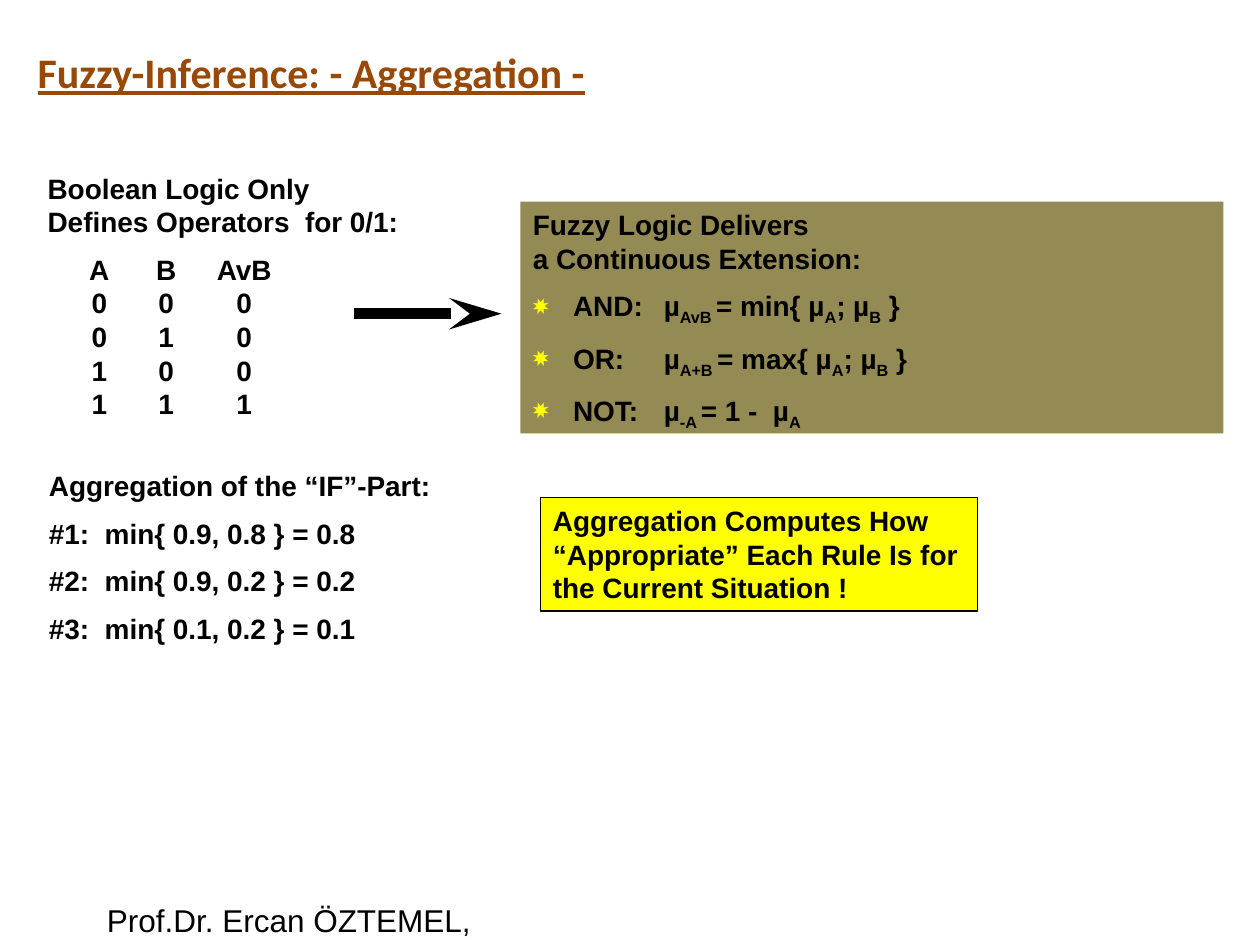
from pptx import Presentation
from pptx.dml.color import RGBColor
from pptx.enum.shapes import MSO_CONNECTOR, MSO_SHAPE
from pptx.enum.text import MSO_ANCHOR, MSO_AUTO_SIZE, PP_ALIGN
from pptx.oxml.ns import qn
from pptx.util import Inches, Pt
from lxml import etree

STRAIGHT = MSO_CONNECTOR.STRAIGHT
RECTANGLE = MSO_SHAPE.RECTANGLE
TOP = MSO_ANCHOR.TOP
GROW = MSO_AUTO_SIZE.SHAPE_TO_FIT_TEXT
LEFT = PP_ALIGN.LEFT

BLACK = RGBColor(0x00, 0x00, 0x00)
BROWN = RGBColor(0x98, 0x48, 0x07)
OLIVE = RGBColor(0x94, 0x8A, 0x54)
YELLOW = RGBColor(0xFF, 0xFF, 0x00)

BODY = {"name": "Arial", "size": Pt(16), "bold": True}
FOOTER = {"name": "Arial", "size": Pt(18)}
TITLE = {"name": "Calibri", "size": Pt(24), "bold": True, "underline": True}
GAP = Pt(8)
INDENT = 0.32

TRUTH_TABLE = [("A", "B", "AvB"), (0, 0, 0), (0, 1, 0), (1, 0, 0), (1, 1, 1)]
TRUTH_TABS = [(0.41, "ctr"), (0.94, "ctr"), (1.56, "ctr")]
OPERATOR_TABS = [(INDENT, "l"), (1.04, "l")]
# Every second part between bars is a subscript.
OPERATORS = [
    "\tAND:\tµ|AvB |= min{ µ|A|; µ|B| }",
    "\tOR:\tµ|A+B |= max{ µ|A|; µ|B| }",
    "\tNOT:\tµ|-A |= 1 -  µ|A",
]
RULES = [(0.9, 0.8, 0.8), (0.9, 0.2, 0.2), (0.1, 0.2, 0.1)]


class SlideBuilder:
    def __init__(self, slide, style):
        self.slide = slide
        self.style = style

    def text_box(self, left, top, width, height, wrap=True):
        box = self.slide.shapes.add_textbox(
            Inches(left), Inches(top), Inches(width), Inches(height))
        return self.prepare(box.text_frame, wrap)

    def panel(self, left, top, width, height, fill, line=None):
        panel = self.slide.shapes.add_shape(
            RECTANGLE, Inches(left), Inches(top), Inches(width), Inches(height))
        panel.shadow.inherit = False
        panel.fill.solid()
        panel.fill.fore_color.rgb = fill
        if line is None:
            panel.line.fill.background()
        else:
            panel.line.color.rgb = line
            panel.line.width = Pt(0.75)
        return self.prepare(panel.text_frame, True)

    def prepare(self, frame, wrap):
        settings = {"word_wrap": wrap, "auto_size": GROW, "vertical_anchor": TOP}
        for name, value in settings.items():
            setattr(frame, name, value)
        return frame

    def paragraph(self, frame, text, style=None, color=BLACK, gap=GAP,
                  bullet=None, tabs=(), hanging=0):
        """Add a paragraph; bars toggle subscript and \\v breaks the line."""
        first = frame.paragraphs[0]
        is_first = not first.runs
        paragraph = first if is_first else frame.add_paragraph()
        paragraph.alignment = LEFT
        properties = paragraph._p.get_or_add_pPr()
        if hanging:
            properties.set("marL", str(Inches(hanging)))
            properties.set("indent", str(-Inches(hanging)))
        if bullet:
            bullet_color = etree.SubElement(properties, qn("a:buClr"))
            etree.SubElement(bullet_color, qn("a:srgbClr"), val=str(YELLOW))
            etree.SubElement(properties, qn("a:buChar"), char=bullet)
        if tabs:
            tab_list = etree.SubElement(properties, qn("a:tabLst"))
            for position, align in tabs:
                etree.SubElement(tab_list, qn("a:tab"),
                                 pos=str(Inches(position)), algn=align)
        if not is_first:
            paragraph.space_before = gap
        for index, part in enumerate(text.split("|")):
            for line_number, line in enumerate(part.split("\v")):
                if line_number:
                    paragraph.add_line_break()
                run = paragraph.add_run()
                run.text = line
                for name, value in (style or self.style).items():
                    setattr(run.font, name, value)
                run.font.color.rgb = color
                if index % 2:
                    run.font._element.set("baseline", "-25000")

    def arrow(self, start, end, y, weight):
        arrow = self.slide.shapes.add_connector(
            STRAIGHT, Inches(start), Inches(y), Inches(end), Inches(y))
        arrow.line.color.rgb = BLACK
        arrow.line.width = Pt(weight)
        etree.SubElement(arrow.line._get_or_add_ln(), qn("a:tailEnd"),
                         type="stealth", w="med", len="lg")
        etree.SubElement(arrow._element.spPr, qn("a:effectLst"))


def main():
    presentation = Presentation()
    presentation.slide_width = Inches(10)
    presentation.slide_height = Inches(7.5)
    slide = presentation.slides.add_slide(presentation.slide_layouts[6])
    builder = SlideBuilder(slide, BODY)

    author = builder.text_box(0.75, 7.1, 3.19, 0.4, wrap=False)
    builder.paragraph(author, "Prof.Dr. Ercan ÖZTEMEL,", FOOTER)

    title = builder.text_box(0.2, 0.32, 9.72, 0.51)
    builder.paragraph(title, "Fuzzy-Inference: - Aggregation -", TITLE, BROWN)

    boolean_logic = builder.text_box(0.28, 1.31, 3.17, 2.11)
    builder.paragraph(boolean_logic,
                      "Boolean Logic Only\vDefines Operators  for 0/1:")
    for number, row in enumerate(TRUTH_TABLE):
        builder.paragraph(boolean_logic, "".join(f"\t{cell}" for cell in row),
                          gap=Pt(0) if number else GAP, tabs=TRUTH_TABS)

    builder.arrow(2.81, 3.98, 2.49, weight=6)

    fuzzy_logic = builder.panel(4.13, 1.6, 5.58, 1.84, OLIVE)
    builder.paragraph(fuzzy_logic,
                      "Fuzzy Logic Delivers\va Continuous Extension:")
    for operator in OPERATORS:
        builder.paragraph(fuzzy_logic, operator, bullet="✸", tabs=OPERATOR_TABS)

    aggregation = builder.text_box(0.29, 3.67, 9.83, 1.97)
    builder.paragraph(aggregation, "Aggregation of the “IF”-Part:", hanging=INDENT)
    for number, (first, second, result) in enumerate(RULES, 1):
        builder.paragraph(aggregation,
                          f"#{number}:  min{{ {first}, {second} }} = {result}",
                          hanging=INDENT)

    conclusion = builder.panel(4.29, 3.95, 3.47, 0.9, YELLOW, BLACK)
    builder.paragraph(conclusion, "Aggregation Computes How “Appropriate” "
                                  "Each Rule Is for the Current Situation !")

    presentation.save("out.pptx")


if __name__ == "__main__":
    main()
